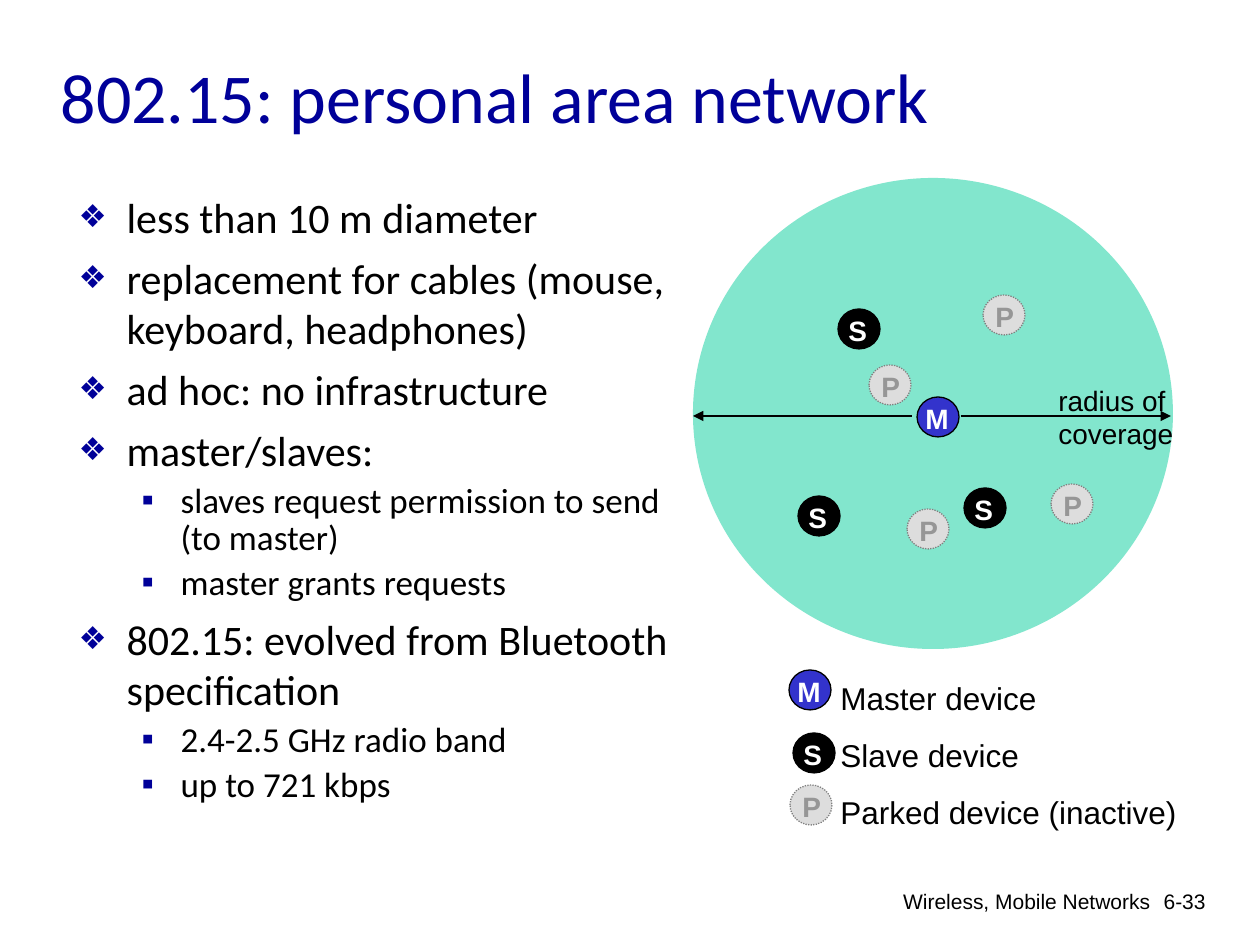
from lxml.etree import SubElement
from pptx import Presentation
from pptx.dml.color import RGBColor
from pptx.enum.dml import MSO_LINE
from pptx.enum.shapes import MSO_CONNECTOR, MSO_SHAPE
from pptx.enum.text import MSO_ANCHOR, MSO_AUTO_SIZE, PP_ALIGN
from pptx.oxml.ns import qn
from pptx.util import Pt

PX = 914400 / 126

THEME = {
    "title": ("Calibri", 40, "000099"),
    "levels": [("Calibri", 24, "000000"), ("Calibri", 20, "000000")],
    "label": ("Arial", 16, "000000"),
    "legend": ("Arial", 18, "000000"),
    "footer": ("Arial", 12, "000000"),
    "letter": ("Arial", 16),
    "bullet": "000099",
    "coverage": "00CC99",
    "line": "000000",
}
# device: fill, outline, letter colour, dotted outline, letter shift in px
DEVICES = {
    "M": ("3333CC", "000000", "FFFFFF", False, -4),
    "S": ("000000", "000000", "FFFFFF", False, -2),
    "P": ("DDDDDD", "808080", "969696", True, 0),
}
# level: margin px, indent px, space before, line spacing, bullet, bullet size %
BULLETS = [
    (48, -48, Pt(6), None, "❖", 75),
    (102, -39, Pt(5), Pt(21), "▪", 100),
]

TITLE = "802.15: personal area network"
POINTS = [
    (0, "less than 10 m diameter"),
    (0, "replacement for cables (mouse, keyboard, headphones)"),
    (0, "ad hoc: no infrastructure"),
    (0, "master/slaves:"),
    (1, "slaves request permission to send (to master)"),
    (1, "master grants requests"),
    (0, "802.15: evolved from Bluetooth specification"),
    (1, "2.4-2.5 GHz radio band"),
    (1, "up to 721 kbps"),
]
NETWORK = [
    ("M", 917, 397),
    ("S", 838, 309), ("S", 964, 488), ("S", 798, 496),
    ("P", 983, 295), ("P", 907, 509), ("P", 869, 365), ("P", 1051, 484),
]
LEGEND_ICONS = [("M", 789, 670), ("S", 793, 733), ("P", 790, 785)]
LEGEND = ["Master device", "Slave device", "Parked device (inactive)"]
RADIUS = ["radius of", "coverage"]
FOOTERS = [("Wireless, Mobile Networks", (631, 882, 532, 44)),
           ("6-33", (1125, 882, 93, 63))]
RADIUS_ARROWS = [(961, 1171), (912, 693)]
RADIUS_Y = 416
DEVICE_SIZE = (42, 40)


def emu(*lengths):
    return [round(length * PX) for length in lengths]


def colour(value):
    return RGBColor.from_string(value)


def add_span(para, text, style, bold=False):
    span = para.add_run()
    span.text = text
    span.font.name, span.font.size = style[0], Pt(style[1])
    span.font.color.rgb = colour(style[2])
    span.font.bold = bold


def place(shape, *frame):
    shape.left, shape.top, shape.width, shape.height = emu(*frame)


def paragraphs(frame, count):
    yield frame.paragraphs[0]
    for _ in range(count - 1):
        yield frame.add_paragraph()


def add_text(shapes, frame, lines, style, align=PP_ALIGN.LEFT, wrap=True,
             grow=True, bold=False, spacing=None):
    box = shapes.add_textbox(*emu(*frame))
    text = box.text_frame
    text.word_wrap = wrap
    text.auto_size = MSO_AUTO_SIZE.SHAPE_TO_FIT_TEXT if grow else MSO_AUTO_SIZE.NONE
    for para, line in zip(paragraphs(text, len(lines)), lines):
        para.alignment, para.line_spacing = align, spacing
        add_span(para, line, style, bold)


def add_ellipse(shapes, frame, fill):
    ellipse = shapes.add_shape(MSO_SHAPE.OVAL, *emu(*frame))
    ellipse.shadow.inherit = False
    ellipse.fill.solid()
    ellipse.fill.fore_color.rgb = colour(fill)
    return ellipse


def add_device(page, kind, left, top):
    fill, outline, letter, dotted, shift = DEVICES[kind]
    width, height = DEVICE_SIZE
    group = page.shapes.add_group_shape()
    ellipse = add_ellipse(group.shapes, (left, top, width, height), fill)
    ellipse.line.color.rgb = colour(outline)
    ellipse.line.width = Pt(0.75)
    if dotted:
        ellipse.line.dash_style = MSO_LINE.ROUND_DOT
    add_text(group.shapes, (left + shift, top - 2, width, 47), [kind],
             (*THEME["letter"], letter), bold=True)


def add_coverage(page):
    area = add_ellipse(page.shapes, (693, 178, 480, 471), THEME["coverage"])
    area.line.fill.background()
    srgb = area.fill._xPr.find(".//" + qn("a:srgbClr"))
    SubElement(srgb, qn("a:alpha"), val="49000")


def add_arrow(page, start, end, y):
    arrow = page.shapes.add_connector(
        MSO_CONNECTOR.STRAIGHT, *emu(start, y, end, y))
    arrow.line.color.rgb = colour(THEME["line"])
    arrow.line.width = Pt(0.75)
    SubElement(arrow.line._get_or_add_ln(), qn("a:tailEnd"), type="triangle")
    SubElement(arrow._element.spPr, qn("a:effectLst"))


def set_bullet(para, level):
    margin, indent, before, spacing, mark, size = BULLETS[level]
    para.level = level
    para.space_before, para.line_spacing = before, spacing
    props = para._p.get_or_add_pPr()
    props.set("marL", str(emu(margin)[0]))
    props.set("indent", str(emu(indent)[0]))
    tint = SubElement(props, qn("a:buClr"))
    SubElement(tint, qn("a:srgbClr"), val=THEME["bullet"])
    SubElement(props, qn("a:buSzPct"), val=str(size * 1000))
    SubElement(props, qn("a:buChar"), char=mark)


def fill_title(title):
    place(title, 48, 38, 1071, 116)
    text = title.text_frame
    text.auto_size = MSO_AUTO_SIZE.NONE
    text.vertical_anchor = MSO_ANCHOR.MIDDLE
    para = text.paragraphs[0]
    para.alignment = PP_ALIGN.LEFT
    add_span(para, TITLE, THEME["title"])


def fill_body(body):
    place(body, 66, 185, 615, 760)
    text = body.text_frame
    text.auto_size = MSO_AUTO_SIZE.NONE
    for para, (level, line) in zip(paragraphs(text, len(POINTS)), POINTS):
        set_bullet(para, level)
        add_span(para, line, THEME["levels"][level])
    text.paragraphs[0].space_before = Pt(0)


def main():
    deck = Presentation()
    deck.slide_width, deck.slide_height = emu(1260, 945)
    page = deck.slides.add_slide(deck.slide_layouts[1])
    fill_title(page.shapes.title)
    fill_body(page.placeholders[1])

    for words, frame in FOOTERS:
        add_text(page.shapes, frame, [words], THEME["footer"],
                 align=PP_ALIGN.RIGHT, grow=False)
    add_coverage(page)
    for start, end in RADIUS_ARROWS:
        add_arrow(page, start, end, RADIUS_Y)
    add_text(page.shapes, (1046, 377, 140, 81), RADIUS, THEME["label"], wrap=False)
    add_text(page.shapes, (828, 654, 362, 183), LEGEND, THEME["legend"],
             wrap=False, spacing=1.5)
    for device in NETWORK + LEGEND_ICONS:
        add_device(page, *device)
    deck.save("out.pptx")


if __name__ == "__main__":
    main()
